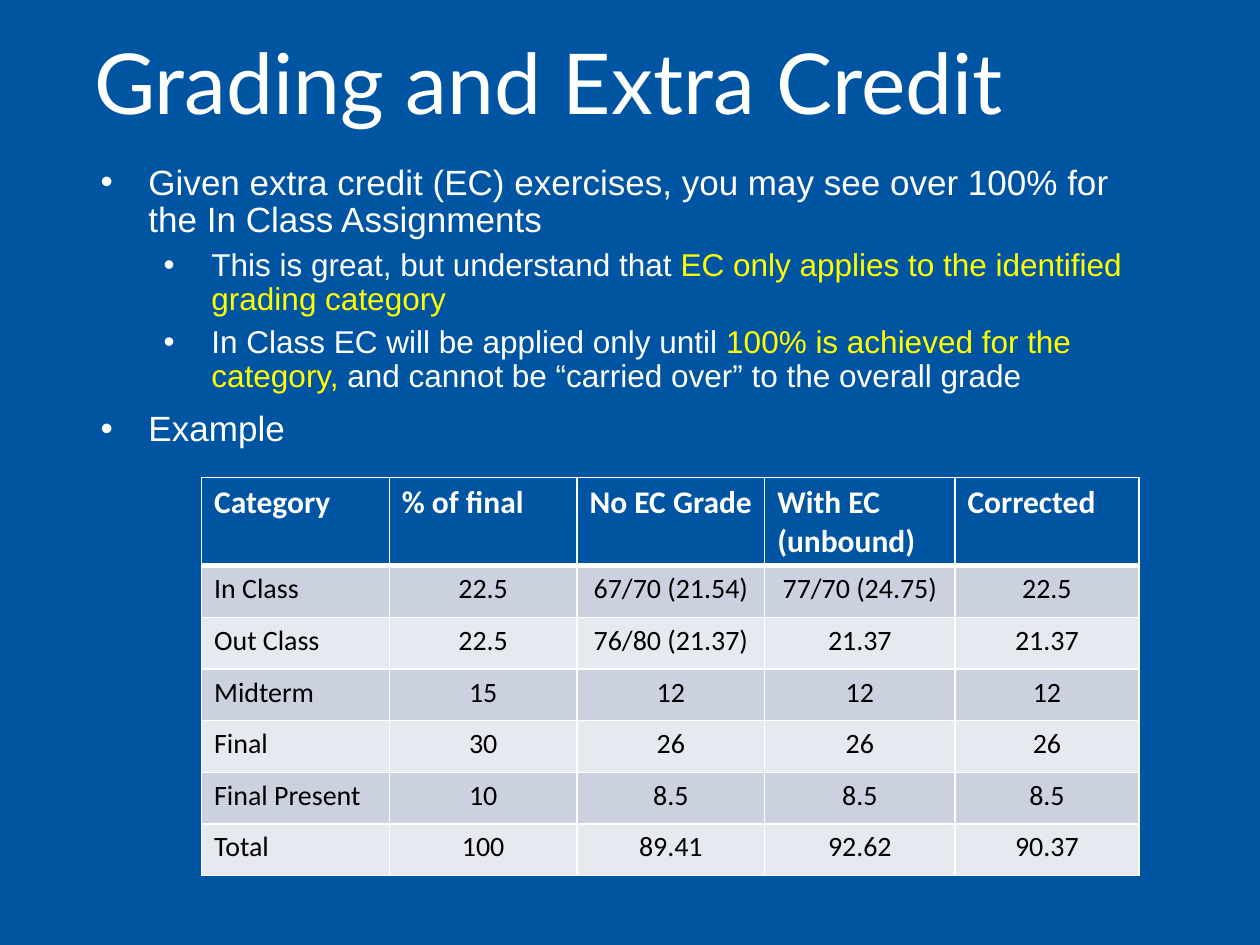
import pptx
import pptx.dml.color
import pptx.enum.text
import pptx.oxml
import pptx.oxml.ns
import pptx.util
from pptx.util import Inches

BLUE, WHITE, BLACK, GOLD = "0055A2", "FFFFFF", "000000", "FFFF00"
BANDS = ("CCD1E0", "E7E9F0")
ALIGN = pptx.enum.text.PP_ALIGN
ANCHOR = pptx.enum.text.MSO_ANCHOR


def color(code):
    return pptx.dml.color.RGBColor.from_string(code)


def node(xml):
    space = pptx.oxml.ns.nsdecls("a")
    return pptx.oxml.parse_xml(xml.replace(">", f" {space}>", 1))


class Deck:
    def __init__(self, wide, high, back):
        self.file = pptx.Presentation()
        self.file.slide_width = Inches(wide)
        self.file.slide_height = Inches(high)
        self.slide = self.file.slides.add_slide(self.file.slide_layouts[6])
        fill = self.slide.background.fill
        fill.solid()
        fill.fore_color.rgb = color(back)

    def run(self, para, text, font, size, tint=WHITE, bold=False):
        run = para.add_run()
        run.text = text
        run.font.name = font
        run.font.size = pptx.util.Pt(size)
        run.font.bold = bold
        run.font.color.rgb = color(tint)

    def box(self, left, top, wide, high, anchor=ANCHOR.TOP):
        shape = self.slide.shapes.add_textbox(
            Inches(left), Inches(top), Inches(wide), Inches(high))
        frame = shape.text_frame
        frame.word_wrap = True
        frame.vertical_anchor = anchor
        return frame

    def title(self, text, *place):
        para = self.box(*place, anchor=ANCHOR.MIDDLE).paragraphs[0]
        para.line_spacing = 0.9
        self.run(para, text, "Lato", 48)

    def bullets(self, items, *place):
        frame = self.box(*place)
        for i, (level, runs) in enumerate(items):
            para = frame.add_paragraph() if i else frame.paragraphs[0]
            props = para._p.get_or_add_pPr()
            props.set("marL", str(Inches(0.38 + 0.5 * level)))
            props.set("indent", str(Inches(-0.38)))
            props.append(node('<a:buFont typeface="Arial"></a:buFont>'))
            props.append(node('<a:buChar char="•"></a:buChar>'))
            para.level = level
            para.line_spacing = 0.9
            if i:
                para.space_before = pptx.util.Pt(5 if level else 10)
            for text, tint in runs:
                self.run(para, text, "Arial", 18 if level else 20, tint)

    def cell(self, cell, text, fill, row, col):
        # Borders come before the fill in the cell's properties
        props = cell._tc.get_or_add_tcPr()
        for side in "LRTB":
            thick = (row, side) in ((0, "B"), (1, "T"))
            width = pptx.util.Pt(3 if thick else 1)
            props.append(node(
                f'<a:ln{side} w="{width}"><a:solidFill><a:srgbClr val="{WHITE}"/>'
                f'</a:solidFill></a:ln{side}>'))
        cell.fill.solid()
        cell.fill.fore_color.rgb = color(fill)
        para = cell.text_frame.paragraphs[0]
        para.alignment = ALIGN.CENTER if row and col else ALIGN.LEFT
        if row:
            self.run(para, text, "Calibri", 16, BLACK)
        else:
            self.run(para, text, "Calibri", 18, bold=True)

    def table(self, rows, left, top, widths, heights):
        grid = self.slide.shapes.add_table(
            len(rows), len(widths), Inches(left), Inches(top),
            Inches(sum(widths)), Inches(sum(heights))).table
        for col, width in zip(grid.columns, widths):
            col.width = Inches(width)
        for r, texts in enumerate(rows):
            grid.rows[r].height = Inches(heights[r])
            fill = BANDS[(r - 1) % 2] if r else BLUE
            for c, text in enumerate(texts):
                self.cell(grid.cell(r, c), text, fill, r, c)


def main():
    deck = Deck(10, 7.5, BLUE)

    # Title
    deck.title("Grading and Extra Credit", 0.65, 0.21, 8.62, 0.97)

    # Rules for extra credit
    deck.bullets([
        (0, [("Given extra credit (EC) exercises, you may see over 100% for "
              "the In Class Assignments", WHITE)]),
        (1, [("This is great, but understand that ", WHITE),
             ("EC only applies to the identified grading category", GOLD)]),
        (1, [("In Class EC will be applied only until ", WHITE),
             ("100% is achieved for the category, ", GOLD),
             ("and cannot be “carried over” to the overall grade", WHITE)]),
        (0, [("Example", WHITE)]),
    ], 0.7, 1.26, 8.62, 4.97)

    # Example grades
    deck.table([
        ("Category", "% of final", "No EC Grade", "With EC (unbound)", "Corrected"),
        ("In Class", "22.5", "67/70 (21.54)", "77/70 (24.75)", "22.5"),
        ("Out Class", "22.5", "76/80 (21.37)", "21.37", "21.37"),
        ("Midterm", "15", "12", "12", "12"),
        ("Final", "30", "26", "26", "26"),
        ("Final Present", "10", "8.5", "8.5", "8.5"),
        ("Total", "100", "89.41", "92.62", "90.37"),
    ], 1.6, 3.79, [1.49, 1.49, 1.49, 1.51, 1.46], [0.65] + [0.41] * 6)

    deck.file.save("out.pptx")


if __name__ == "__main__":
    main()
